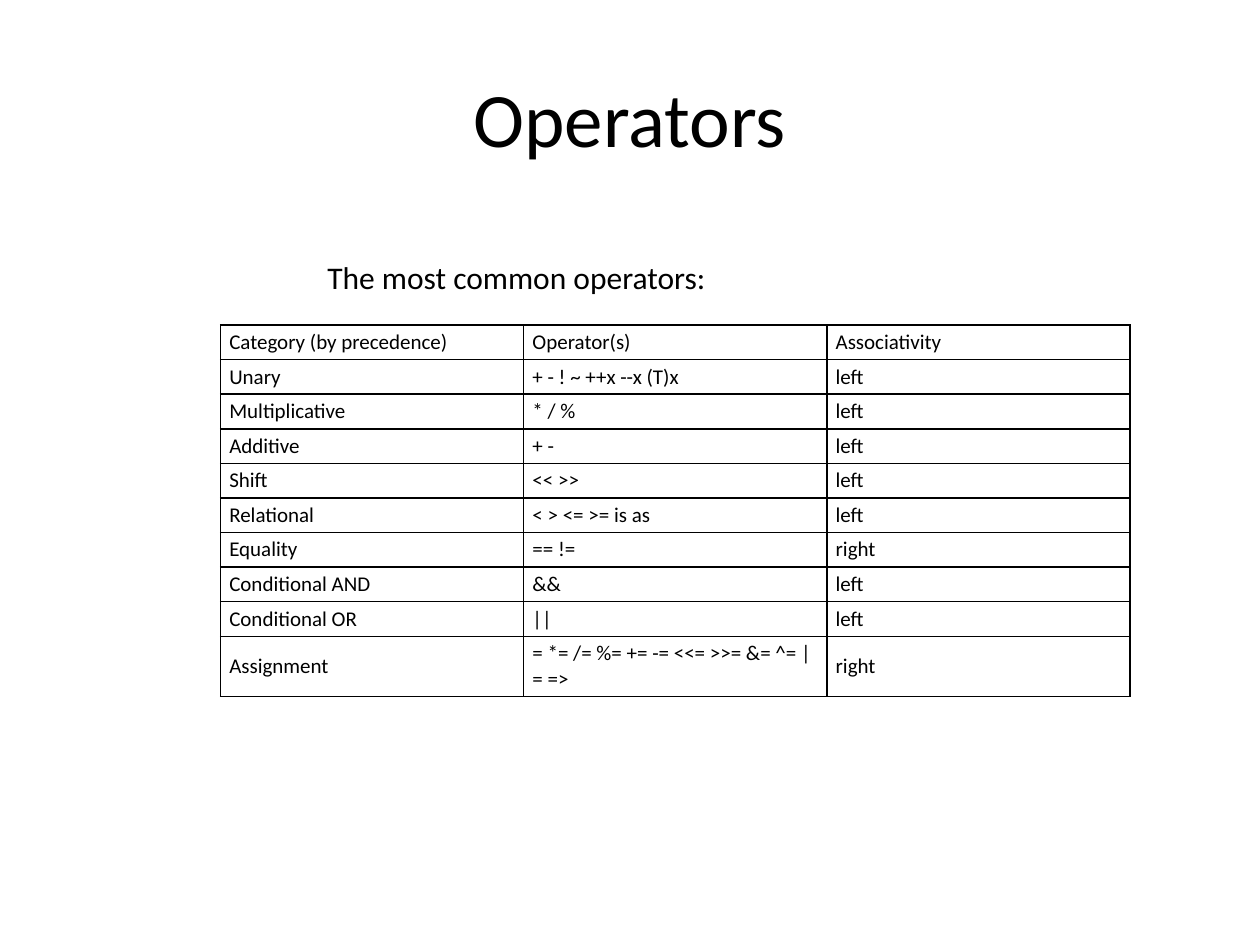
from dataclasses import dataclass

from lxml.etree import SubElement
from pptx import Presentation
from pptx.dml.color import RGBColor
from pptx.enum.text import MSO_ANCHOR, MSO_AUTO_SIZE, PP_ALIGN
from pptx.oxml.ns import qn
from pptx.util import Inches, Pt


@dataclass(frozen=True)
class Theme:
    font: str = "Calibri"
    ink: str = "000000"
    title_size: int = 44
    intro_size: int = 18
    table_size: int = 12
    border_width: int = 1


THEME = Theme()

OPERATORS = [
    ("Category (by precedence)", "Operator(s)", "Associativity"),
    ("Unary", "+ - ! ~ ++x --x (T)x", "left"),
    ("Multiplicative", "* / %", "left"),
    ("Additive", "+ -", "left"),
    ("Shift", "<< >>", "left"),
    ("Relational", "< > <= >= is as", "left"),
    ("Equality", "== !=", "right"),
    ("Conditional AND", "&&", "left"),
    ("Conditional OR", "||", "left"),
    ("Assignment", "= *= /= %= += -= <<= >>= &= ^= |= =>", "right"),
]


def write(frame, text, size):
    frame.text = text
    for run in frame.paragraphs[0].runs:
        run.font.name = THEME.font
        run.font.size = Pt(size)
        run.font.color.rgb = RGBColor.from_string(THEME.ink)


def add_title(slide, left, top, width, height):
    title = slide.shapes.add_textbox(left, top, width, height).text_frame
    title.word_wrap = True
    title.vertical_anchor = MSO_ANCHOR.MIDDLE
    write(title, "Operators", THEME.title_size)
    title.paragraphs[0].alignment = PP_ALIGN.CENTER


def add_intro(slide, left, top, width, height):
    intro = slide.shapes.add_textbox(left, top, width, height).text_frame
    intro.word_wrap = False
    intro.auto_size = MSO_AUTO_SIZE.SHAPE_TO_FIT_TEXT
    write(intro, "The most common operators:", THEME.intro_size)


def add_borders(cell):
    properties = cell._tc.get_or_add_tcPr()
    for side in ("a:lnL", "a:lnR", "a:lnT", "a:lnB"):
        border = SubElement(properties, qn(side), w=str(Pt(THEME.border_width)))
        fill = SubElement(border, qn("a:solidFill"))
        SubElement(fill, qn("a:srgbClr"), val=THEME.ink)


def format_cell(cell, text):
    cell.margin_left = cell.margin_right = Inches(0.07)
    cell.margin_top = cell.margin_bottom = Inches(0.03)
    cell.vertical_anchor = MSO_ANCHOR.MIDDLE
    write(cell.text_frame, text, THEME.table_size)
    add_borders(cell)
    cell.fill.background()


def add_operator_table(slide, left, top, width, height):
    row_count, column_count = len(OPERATORS), len(OPERATORS[0])
    table = slide.shapes.add_table(
        row_count, column_count, left, top, width, height
    ).table
    table.first_row = False
    table.horz_banding = False
    assignment_height = Inches(0.48)
    for row in table.rows:
        row.height = (height - assignment_height) // (row_count - 1)
    table.rows[row_count - 1].height = assignment_height
    for row_index, operator in enumerate(OPERATORS):
        for column_index, text in enumerate(operator):
            format_cell(table.cell(row_index, column_index), text)


def main():
    presentation = Presentation()
    presentation.slide_width = Inches(10)
    presentation.slide_height = Inches(7.5)
    slide = presentation.slides.add_slide(presentation.slide_layouts[6])
    add_title(slide, Inches(0.5), Inches(0.3), Inches(9), Inches(1.25))
    add_operator_table(slide, Inches(1.75), Inches(2.58), Inches(7.22), Inches(2.95))
    add_intro(slide, Inches(2.5), Inches(2), Inches(3.24), Inches(0.4))
    presentation.save("out.pptx")


if __name__ == "__main__":
    main()
